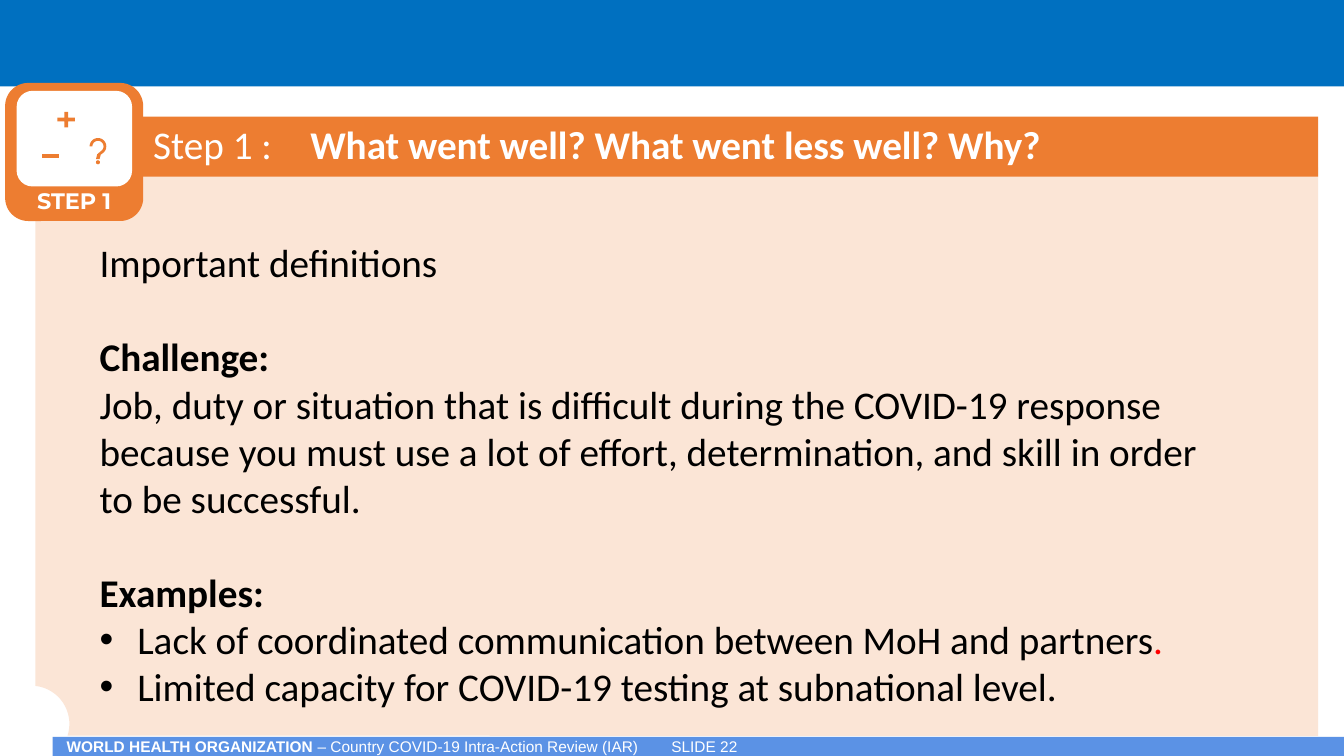
from math import cos, radians, sin

from lxml.etree import SubElement
from pptx import Presentation
from pptx.dml.color import RGBColor
from pptx.enum.shapes import MSO_SHAPE
from pptx.enum.text import MSO_ANCHOR, MSO_AUTO_SIZE, PP_ALIGN
from pptx.oxml.ns import qn
from pptx.util import Cm, Pt

WHITE = RGBColor(0xFF, 0xFF, 0xFF)
BLACK = RGBColor(0x00, 0x00, 0x00)
RED = RGBColor(0xFF, 0x00, 0x00)
BLUE = RGBColor(0x00, 0x70, 0xC0)
FOOTER_BLUE = RGBColor(0x5B, 0x92, 0xE5)
ORANGE = RGBColor(0xED, 0x7D, 0x31)
PEACH = RGBColor(0xFB, 0xE5, 0xD6)


def add_run(paragraph, text, *, font="Calibri", size=28, color=BLACK, bold=False):
    run = paragraph.add_run()
    run.text = text
    run.font.name = font
    run.font.size = Pt(size)
    run.font.color.rgb = color
    run.font.bold = bold


def arc(x, y, radius, start, end, steps=24):
    """Points in cm along an arc; angles in degrees, clockwise from the right."""
    angles = [radians(start + (end - start) * i / steps) for i in range(steps + 1)]
    return [(x + radius * cos(a), y + radius * sin(a)) for a in angles]


def set_indent(paragraph, hanging, bullet=None, tab=None):
    properties = paragraph._p.get_or_add_pPr()
    properties.set("marL", str(Cm(hanging)))
    properties.set("indent", str(-Cm(hanging)))
    if bullet:
        SubElement(properties, qn("a:buFont"), typeface="Arial")
        SubElement(properties, qn("a:buChar"), char=bullet)
    else:
        SubElement(properties, qn("a:buNone"))
    if tab:
        tabs = SubElement(properties, qn("a:tabLst"))
        SubElement(tabs, qn("a:tab"), pos=str(Cm(tab)), algn="l")


class SlideBuilder:
    def __init__(self, slide):
        self.slide = slide
        self.shapes = slide.shapes

    def paint(self, shape, color):
        shape.shadow.inherit = False
        shape.fill.solid()
        shape.fill.fore_color.rgb = color
        shape.line.fill.background()
        return shape

    def block(self, kind, color, left, top, width, height, adjustment=None):
        shape = self.shapes.add_shape(kind, Cm(left), Cm(top), Cm(width), Cm(height))
        if adjustment is not None:
            shape.adjustments[0] = adjustment
        return self.paint(shape, color)

    def outline(self, color, *contours):
        contours = [[(Cm(x), Cm(y)) for x, y in points] for points in contours]
        builder = self.shapes.build_freeform(*contours[0][0], scale=1.0)
        for number, points in enumerate(contours):
            if number:
                builder.move_to(*points[0])
            builder.add_line_segments(points[1:], close=True)
        return self.paint(builder.convert_to_shape(), color)

    def frame(self, shape, anchor, left, top, right, bottom):
        frame = shape.text_frame
        frame.word_wrap = True
        frame.auto_size = MSO_AUTO_SIZE.NONE
        frame.vertical_anchor = anchor
        frame.margin_left, frame.margin_top = Cm(left), Cm(top)
        frame.margin_right, frame.margin_bottom = Cm(right), Cm(bottom)
        return frame

    def placeholder(self, index, left, top, width, height):
        """Place a template placeholder in front of what is drawn so far."""
        shape = self.slide.placeholders[index]
        shape.left, shape.top = Cm(left), Cm(top)
        shape.width, shape.height = Cm(width), Cm(height)
        shape.element.getparent().append(shape.element)
        return shape

    def paragraph(self, frame, first, align=PP_ALIGN.LEFT, before=0, spacing=1.0):
        paragraph = frame.paragraphs[0] if first else frame.add_paragraph()
        paragraph.alignment = align
        paragraph.line_spacing = spacing
        paragraph.space_before = Pt(before)
        paragraph.space_after = Pt(0)
        return paragraph


def main():
    presentation = Presentation()
    presentation.slide_width, presentation.slide_height = Cm(33.87), Cm(19.05)
    page = SlideBuilder(presentation.slides.add_slide(presentation.slide_layouts[1]))

    # Top band and footer
    page.block(MSO_SHAPE.RECTANGLE, BLUE, 0, 0, 33.87, 2.18)
    footer = page.block(MSO_SHAPE.RECTANGLE, FOOTER_BLUE, 1.33, 18.57, 32.54, 0.48)
    footer_frame = page.frame(footer, MSO_ANCHOR.MIDDLE, 0.35, 0, 0.25, 0)
    footer_line = page.paragraph(footer_frame, True)
    set_indent(footer_line, 0, tab=15.14)
    small = {"font": "Arial", "size": 11, "color": WHITE}
    add_run(footer_line, "WORLD HEALTH ORGANIZATION ", bold=True, **small)
    add_run(footer_line, "– Country COVID-19 Intra-Action Review (IAR)\tSLIDE 22", **small)

    # Panel with a round notch in the lower left corner
    notch = arc(0.79, 18.24, 0.96, 18, -84)
    page.outline(PEACH, [(0.89, 4.22), (33.22, 4.22), (33.22, 18.55), *notch, (0.89, 17.28)])

    # Title bar
    title = page.paint(page.placeholder(0, 3.56, 2.94, 29.66, 1.51), ORANGE)
    title_frame = page.frame(title, MSO_ANCHOR.MIDDLE, 0.3, 0.3, 0.3, 0.3)
    title_line = page.paragraph(title_frame, True, spacing=0.9)
    set_indent(title_line, 3.96)
    add_run(title_line, "Step 1 : \t", color=WHITE)
    add_run(title_line, "What went well? What went less well? Why?", color=WHITE, bold=True)

    # Definitions: text, bold, bullet, space before
    definitions = [
        ("Important definitions", False, None, 0),
        ("Challenge:", True, None, 34),
        ("Job, duty or situation that is difficult during the COVID-19 response because "
         "you must use a lot of effort, determination, and skill in order to be successful.",
         False, None, 0),
        ("Examples:", True, None, 34),
        ("Lack of coordinated communication between MoH and partners", False, "•", 0),
        ("Limited capacity for COVID-19 testing at subnational level.", False, "•", 0),
    ]
    body = page.placeholder(1, 2.26, 5.87, 28.91, 12.4)
    body_frame = page.frame(body, MSO_ANCHOR.TOP, 0.25, 0.13, 0.25, 0.13)
    for number, (text, bold, bullet, before) in enumerate(definitions):
        line = page.paragraph(body_frame, number == 0, before=before)
        set_indent(line, 0.95 if bullet else 0, bullet)
        add_run(line, text, bold=bold)
        if text.endswith("partners"):
            add_run(line, ".", color=RED)

    # Step badge
    badge = page.block(MSO_SHAPE.ROUNDED_RECTANGLE, ORANGE, 0.13, 2.09, 3.48, 3.48)
    badge_frame = page.frame(badge, MSO_ANCHOR.BOTTOM, 0.25, 0.13, 0.25, 0)
    badge_line = page.paragraph(badge_frame, True, PP_ALIGN.CENTER)
    add_run(badge_line, "STEP 1", font="Montserrat", size=16, color=WHITE, bold=True)
    page.block(MSO_SHAPE.ROUNDED_RECTANGLE, WHITE, 0.42, 2.29, 2.91, 2.41)

    # Minus, question mark and plus on the badge
    page.block(MSO_SHAPE.MATH_MINUS, ORANGE, 0.99, 3.64, 0.58, 0.6, 0.173)
    hook = [*arc(2.47, 3.69, 0.21, -180, 45), (2.54, 3.9), (2.51, 4.01),
            (2.42, 4.01), (2.45, 3.89), *arc(2.47, 3.69, 0.14, 45, -180)]
    page.outline(ORANGE, hook, arc(2.47, 4.09, 0.05, 0, 360))
    page.block(MSO_SHAPE.MATH_PLUS, ORANGE, 1.37, 2.75, 0.6, 0.53, 0.175)

    presentation.save("out.pptx")


if __name__ == "__main__":
    main()
